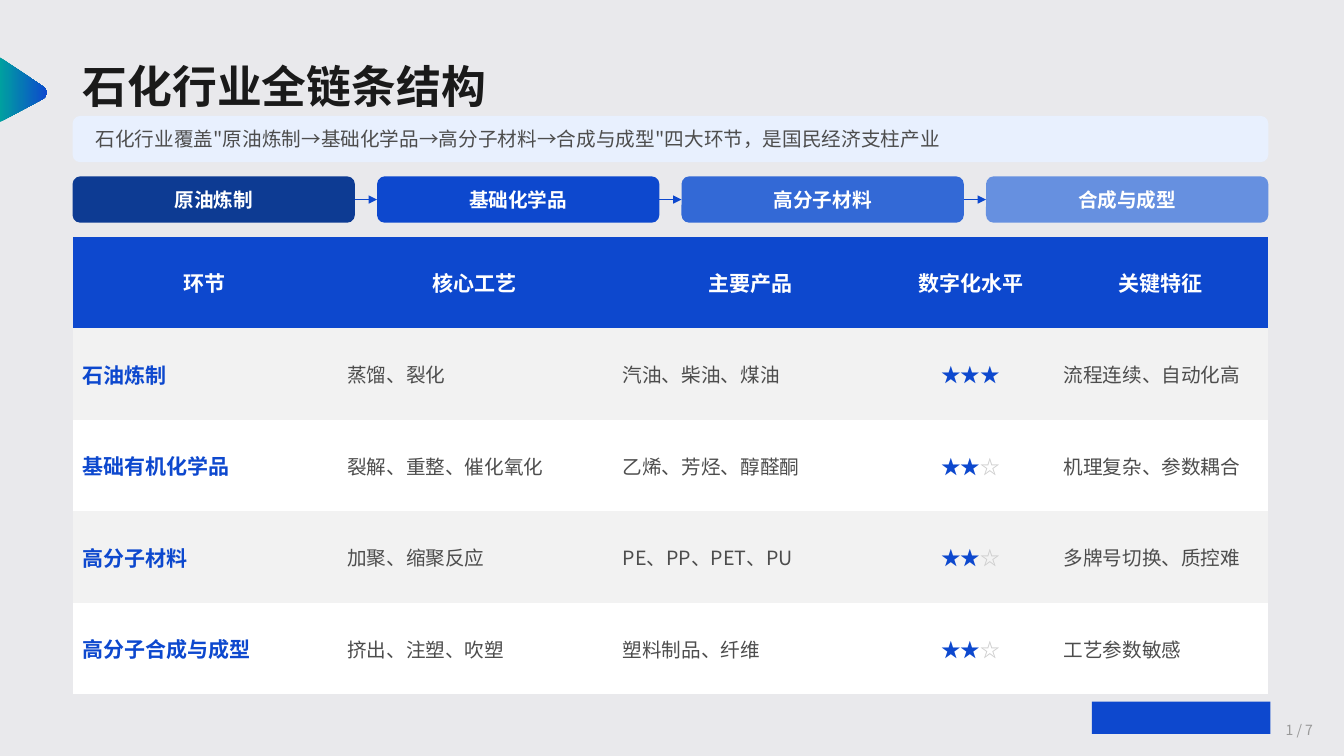
from lxml.etree import SubElement
from pptx import Presentation
from pptx.dml.color import RGBColor
from pptx.enum.shapes import MSO_CONNECTOR as Link, MSO_SHAPE as Shape
from pptx.enum.text import MSO_ANCHOR as Anchor, PP_ALIGN as Align
from pptx.oxml.ns import qn
from pptx.util import Inches, Pt

FONT = "Noto Sans CJK SC"
PAPER = RGBColor(0xE9, 0xE9, 0xEC)
BLUE = RGBColor(0x0D, 0x48, 0xCE)
TEAL = RGBColor(0x00, 0xA0, 0xA0)
PALE = RGBColor(0xE8, 0xF0, 0xFE)
INK = RGBColor(0x1A, 0x1A, 0x1A)
GREY = RGBColor(0x4D, 0x4D, 0x4D)
FAINT = RGBColor(0x99, 0x99, 0x99)
HOLLOW = RGBColor(0xCC, 0xCC, 0xCC)
WHITE = RGBColor(0xFF, 0xFF, 0xFF)
BAND = RGBColor(0xF2, 0xF2, 0xF2)

TITLE = "石化行业全链条结构"
LEAD = '石化行业覆盖"原油炼制→基础化学品→高分子材料→合成与成型"四大环节，是国民经济支柱产业'
STEPS = [
    ("原油炼制", RGBColor(0x0D, 0x3B, 0x93)),
    ("基础化学品", BLUE),
    ("高分子材料", RGBColor(0x33, 0x69, 0xD6)),
    ("合成与成型", RGBColor(0x66, 0x90, 0xE0)),
]
HEADS = ["环节", "核心工艺", "主要产品", "数字化水平", "关键特征"]
ROWS = [
    ("石油炼制", "蒸馏、裂化", "汽油、柴油、煤油", "★★★", "流程连续、自动化高"),
    ("基础有机化学品", "裂解、重整、催化氧化", "乙烯、芳烃、醇醛酮", "★★☆", "机理复杂、参数耦合"),
    ("高分子材料", "加聚、缩聚反应", "PE、PP、PET、PU", "★★☆", "多牌号切换、质控难"),
    ("高分子合成与成型", "挤出、注塑、吹塑", "塑料制品、纤维", "★★☆", "工艺参数敏感"),
]
PAGE = "1 / 7"

LEFT, WIDE = 0.72, 11.86
GAP, BAR = 0.22, 0.46
SHARES = [24, 25, 25, 15, 19.5]
TIP = [(0, 0.57), (0.43, 0.86), (0.46, 0.89), (0.47, 0.92), (0.46, 0.95),
       (0.43, 0.98), (0, 1.21)]
PLAIN = "{2D5ABB26-0587-4C30-8999-92F81FD0307C}"

deck = Presentation()
deck.slide_width, deck.slide_height = Inches(13.33), Inches(7.5)
slide = deck.slides.add_slide(deck.slide_layouts[5])
shapes = slide.shapes


def area(*sizes):
    return [Inches(size) for size in sizes]


def write(frame, text, size=14, color=GREY, bold=False, align=Align.LEFT):
    """Add text to the frame's first paragraph as one run."""
    para = frame.paragraphs[0]
    para.alignment = align
    run = para.add_run()
    run.text = text
    font = run.font
    font.size, font.bold, font.name = Pt(size), bold, FONT
    font.color.rgb = color
    SubElement(run._r.get_or_add_rPr(), qn("a:ea"), typeface=FONT)


def label(place, text, **look):
    frame = shapes.add_textbox(*area(*place)).text_frame
    frame.word_wrap = True
    frame.vertical_anchor = Anchor.MIDDLE
    write(frame, text, **look)


def block(kind, place, color):
    shape = shapes.add_shape(kind, *area(*place))
    shape.shadow.inherit = False
    shape.fill.solid()
    shape.fill.fore_color.rgb = color
    shape.line.fill.background()
    return shape


def arrow(start, end):
    line = shapes.add_connector(Link.STRAIGHT, 0, 0, 0, 0)
    line.begin_connect(start, 3)
    line.end_connect(end, 1)
    line.line.width = Pt(1)
    line.line.color.rgb = BLUE
    SubElement(line.line._get_or_add_ln(), qn("a:tailEnd"), type="triangle")
    SubElement(line._element.spPr, qn("a:effectLst"))


def marker():
    points = [tuple(area(*point)) for point in TIP]
    build = shapes.build_freeform(*points[0])
    build.add_line_segments(points[1:])
    shape = build.convert_to_shape()
    shape.shadow.inherit = False
    shape.line.fill.background()
    shape.fill.gradient()
    shape.fill.gradient_angle = 0
    for stop, color, spot in zip(shape.fill.gradient_stops, (TEAL, BLUE), (0, 1)):
        stop.color.rgb, stop.position = color, spot


def chain():
    width = (WIDE - GAP * (len(STEPS) - 1)) / len(STEPS)
    last = None
    for i, (text, color) in enumerate(STEPS):
        place = LEFT + i * (width + GAP), 1.75, width, BAR
        step = block(Shape.ROUNDED_RECTANGLE, place, color)
        step.text_frame.vertical_anchor = Anchor.MIDDLE
        write(step.text_frame, text, color=WHITE, bold=True, align=Align.CENTER)
        if last:
            arrow(last, step)
        last = step


def fill(cell, text, row, col):
    frame = cell.text_frame
    cell.vertical_anchor = Anchor.MIDDLE
    cell.fill.solid()
    cell.fill.fore_color.rgb = BLUE if row == 0 else BAND if row % 2 else WHITE
    if row == 0:
        write(frame, text, size=15, color=WHITE, bold=True, align=Align.CENTER)
    elif col == 0:
        write(frame, text, size=15, color=BLUE, bold=True)
    elif col == 3:
        full = text.rstrip("☆")
        for stars, color in ((full, BLUE), (text[len(full):], HOLLOW)):
            if stars:
                write(frame, stars, color=color, bold=True, align=Align.CENTER)
    else:
        write(frame, text)


def grid():
    data = [HEADS, *ROWS]
    place = area(LEFT, 2.35, WIDE, 4.54)
    table = shapes.add_table(len(data), len(HEADS), *place).table
    table._tbl.tblPr.find(qn("a:tableStyleId")).text = PLAIN
    for column, share in zip(table.columns, SHARES):
        column.width = Inches(WIDE * share / sum(SHARES))
    for r, row in enumerate(data):
        for c, text in enumerate(row):
            fill(table.cell(r, c), text, r, c)


def main():
    slide.background.fill.solid()
    slide.background.fill.fore_color.rgb = PAPER
    block(Shape.RECTANGLE, (10.83, 6.96, 1.77, 0.32), BLUE)
    marker()
    title = shapes.title
    title.left, title.top, title.width, title.height = area(LEFT, 0.53, 6.12, 0.64)
    title.text_frame.vertical_anchor = Anchor.MIDDLE
    write(title.text_frame, TITLE, size=32, color=INK, bold=True)
    block(Shape.ROUNDED_RECTANGLE, (LEFT, 1.15, WIDE, BAR), PALE)
    label((0.85, 1.21, 11.6, 0.33), LEAD)
    chain()
    grid()
    label((12.25, 7.11, 0.87, 0.27), PAGE, size=10, color=FAINT, align=Align.RIGHT)
    deck.save("out.pptx")


if __name__ == "__main__":
    main()
